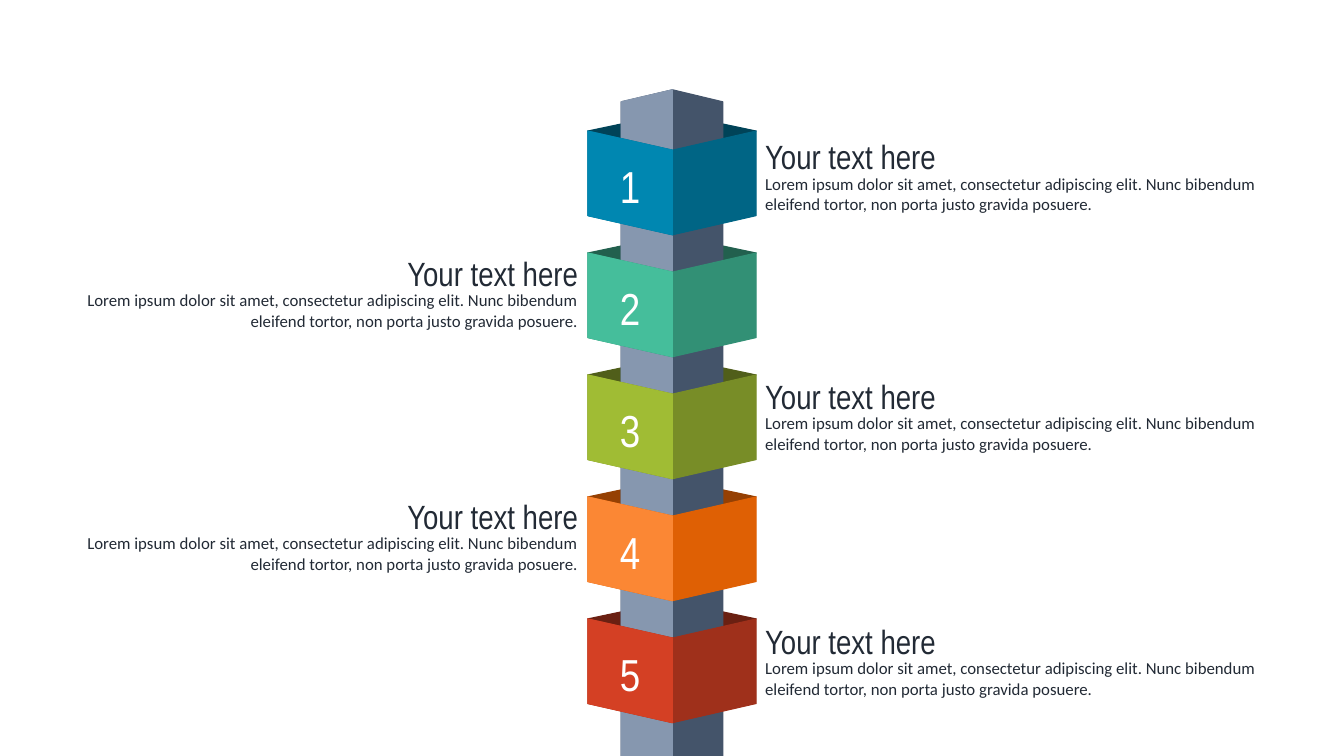
"""Build a slide with a pillar carrying five numbered boxes and their captions."""
from pptx import Presentation
from pptx.dml.color import RGBColor
from pptx.enum.text import MSO_AUTO_SIZE, PP_ALIGN
from pptx.util import Inches, Pt

LEFT, CENTER, RIGHT = PP_ALIGN.LEFT, PP_ALIGN.CENTER, PP_ALIGN.RIGHT
GROW = MSO_AUTO_SIZE.SHAPE_TO_FIT_TEXT

WHITE = RGBColor(0xFF, 0xFF, 0xFF)
INK = RGBColor(0x22, 0x2A, 0x35)
SLATE = RGBColor(0x44, 0x54, 0x6A)
STEEL = RGBColor(0x86, 0x97, 0xAF)
BLUE = RGBColor(0x00, 0x87, 0xB1)
BLUE_MID = RGBColor(0x00, 0x65, 0x85)
BLUE_DARK = RGBColor(0x00, 0x43, 0x58)
TEAL = RGBColor(0x45, 0xBE, 0x9B)
TEAL_MID = RGBColor(0x32, 0x90, 0x75)
TEAL_DARK = RGBColor(0x22, 0x60, 0x4E)
LIME = RGBColor(0xA0, 0xBC, 0x34)
LIME_MID = RGBColor(0x78, 0x8D, 0x27)
LIME_DARK = RGBColor(0x50, 0x5E, 0x1A)
ORANGE = RGBColor(0xFB, 0x87, 0x34)
ORANGE_MID = RGBColor(0xDF, 0x60, 0x04)
ORANGE_DARK = RGBColor(0x95, 0x40, 0x03)
RED = RGBColor(0xD4, 0x40, 0x24)
RED_MID = RGBColor(0x9F, 0x30, 0x1B)
RED_DARK = RGBColor(0x6A, 0x20, 0x12)

HEAD = "Your text here"
BODY = ("Lorem ipsum dolor sit amet, consectetur adipiscing elit. "
        "Nunc bibendum eleifend tortor, non porta justo gravida posuere.")

BOXES = [
    (BLUE, BLUE_MID, BLUE_DARK, 1.3),
    (TEAL, TEAL_MID, TEAL_DARK, 2.46),
    (LIME, LIME_MID, LIME_DARK, 3.68),
    (ORANGE, ORANGE_MID, ORANGE_DARK, 4.87),
    (RED, RED_MID, RED_DARK, 6.11),
]
TOP, STEP = 1.3, 1.21
WEST, MID, EAST = 5.83, 6.67, 7.5
INNER_WEST, INNER_EAST = 6.16, 7.17
TALL, DIP, RIM = 0.84, 0.19, 0.07
PEAK, EAVE, BASE = 0.89, 1.01, 7.5


class Board:
    """Hold the text style and the current slide."""

    def __init__(self, slide):
        self.slide = slide
        self.narrow = "Arial Narrow"
        self.plain = "Calibri"

    def shape(self, points, color):
        """Draw a closed outline in one colour."""
        spots = [(Inches(x), Inches(y)) for x, y in points]
        pen = self.slide.shapes.build_freeform(*spots[0])
        pen.add_line_segments(spots[1:], close=True)
        form = pen.convert_to_shape()
        form.shadow.inherit = False
        form.fill.solid()
        form.fill.fore_color.rgb = color
        form.line.color.rgb = color
        form.line.width = Pt(0)

    def text(self, words, left, top, width, height, *, size, font,
             color=INK, align=LEFT):
        """Place one paragraph in a wrapping text box."""
        box = self.slide.shapes.add_textbox(
            Inches(left), Inches(top), Inches(width), Inches(height))
        frame = box.text_frame
        frame.word_wrap = True
        frame.auto_size = GROW
        para = frame.paragraphs[0]
        para.text = words
        para.alignment = align
        para.font.size = Pt(size)
        para.font.name = font
        para.font.color.rgb = color

    def rim(self, top, color):
        """Draw the inner back corners of a box."""
        for tip, wall in ((EAST, INNER_EAST), (WEST, INNER_WEST)):
            self.shape([(wall, top - RIM), (tip, top), (wall, top + RIM + 0.01)],
                       color)

    def pillar(self):
        """Draw the pillar with its lit left side."""
        self.shape([(MID, PEAK), (INNER_EAST, EAVE), (INNER_EAST, BASE),
                    (INNER_WEST, BASE), (INNER_WEST, EAVE)], SLATE)
        self.shape([(MID, PEAK), (MID, BASE), (INNER_WEST, BASE),
                    (INNER_WEST, EAVE)], STEEL)

    def box(self, top, light, shade):
        """Draw the two front faces of a box."""
        low = top + TALL
        self.shape([(WEST, top), (MID, top + DIP), (EAST, top), (EAST, low),
                    (MID, low + DIP), (WEST, low)], shade)
        self.shape([(WEST, top), (MID, top + DIP), (MID, low + DIP),
                    (WEST, low)], light)

    def label(self, top, left, align):
        """Write a heading and the text below it."""
        self.text(BODY, left, top + 0.37, 5.38, 0.5, size=12,
                  font=self.plain, align=align)
        self.text(HEAD, left, top, 5.38, 0.5, size=24,
                  font=self.narrow, align=align)

    def number(self, value, top):
        """Write the number on a box."""
        self.text(str(value), 5.99, top + 0.23, 0.52, 0.64, size=32,
                  font=self.narrow, color=WHITE, align=CENTER)


def main():
    """Build and save the slide."""
    deck = Presentation()
    deck.slide_width, deck.slide_height = Inches(13.33), Inches(7.5)
    board = Board(deck.slides.add_slide(deck.slide_layouts[6]))
    tops = [TOP + STEP * i for i in range(len(BOXES))]
    for top, (_, _, dark, _) in zip(tops, BOXES):
        board.rim(top, dark)
    board.pillar()
    for i, (top, (light, shade, _, head)) in enumerate(zip(tops, BOXES)):
        board.box(top, light, shade)
        left, align = (0.45, RIGHT) if i % 2 else (7.49, LEFT)
        board.label(head, left, align)
        board.number(i + 1, top)
    deck.save("out.pptx")


if __name__ == "__main__":
    main()
